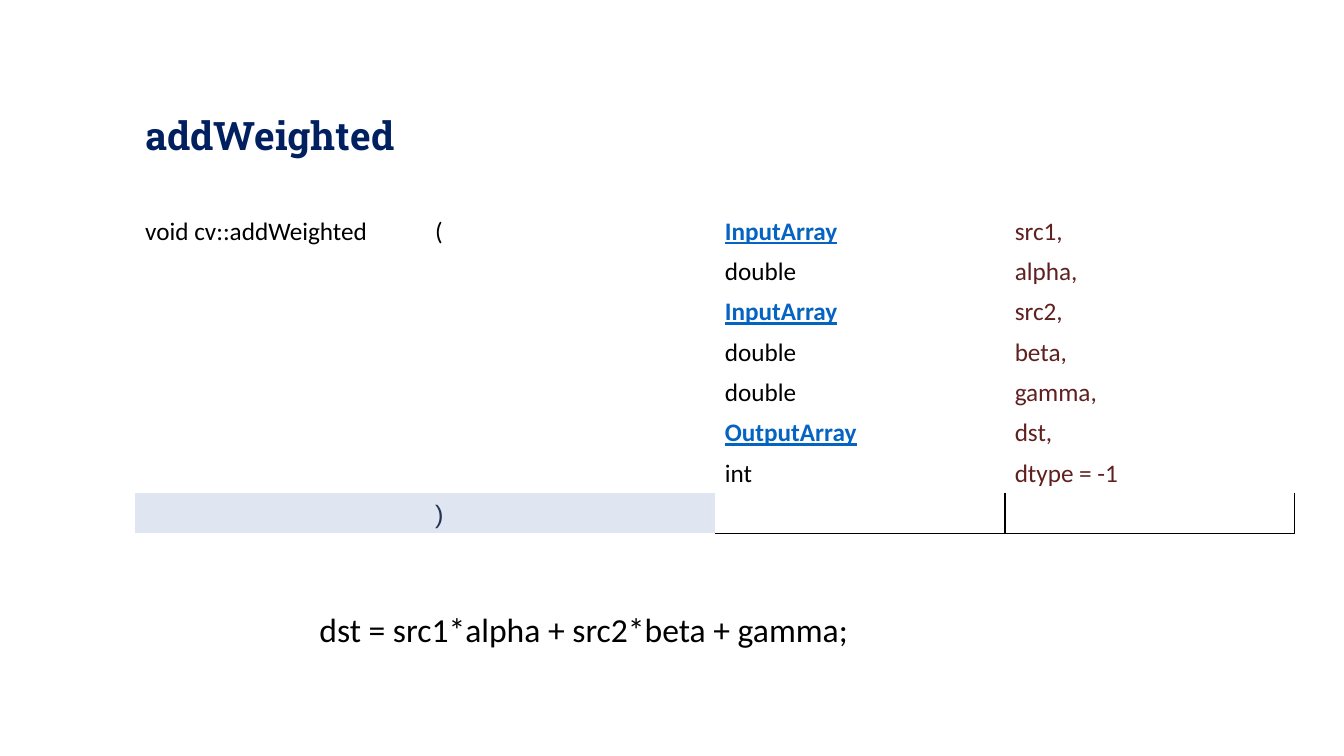
from lxml.etree import SubElement as Sub
from pptx import Presentation
from pptx.dml.color import RGBColor as RGB
from pptx.enum.text import MSO_ANCHOR as Anchor
from pptx.oxml.ns import qn
from pptx.util import Inches, Pt

NAVY, BLACK, LINK, MAROON = "002060", "000000", "0563C1", "602020"
BAND, SLATE = "DFE5F1", "253555"

# Type and name of each parameter
PARAMS = [
    ("InputArray", "src1,"),
    ("double", "alpha,"),
    ("InputArray", "src2,"),
    ("double", "beta,"),
    ("double", "gamma,"),
    ("OutputArray", "dst,"),
    ("int", "dtype = -1"),
]


def color(code):
    return RGB.from_string(code)


class Deck:
    def __init__(self):
        self.prs = Presentation()
        self.prs.slide_width = Inches(13.33)
        self.prs.slide_height = Inches(7.5)
        self.slide = self.prs.slides.add_slide(self.prs.slide_layouts[6])
        self.font = "Calibri"

    def run(self, para, words, size=18, code=BLACK, font=None, link=False, bold=False):
        run = para.add_run()
        run.text = words
        face = run.font
        face.name = font or self.font
        face.size = Pt(size)
        face.color.rgb = color(code)
        face.bold = bold or link
        face.underline = link

    def text(self, box, words, **style):
        frame = self.slide.shapes.add_textbox(*map(Inches, box)).text_frame
        frame.word_wrap = True
        self.run(frame.paragraphs[0], words, **style)

    def table(self, box, rows, cols):
        shape = self.slide.shapes.add_table(rows, cols, *map(Inches, box))
        table = shape.table
        table.first_row = table.horz_banding = False
        for cell in table.iter_cells():
            cell.vertical_anchor = Anchor.BOTTOM
            cell.margin_top = cell.margin_bottom = Inches(0.04)
        return table

    def label(self, cell, words, **style):
        self.run(cell.text_frame.paragraphs[0], words, **style)

    def finish(self, cell, fill=None, edges=None):
        """Draw the named edges, given as side: points, and clear the rest."""
        props = cell._tc.get_or_add_tcPr()
        for side in "LRTB":
            width = (edges or {}).get(side, 0)
            line = Sub(props, qn(f"a:ln{side}"), w=str(Pt(width)))
            if width:
                solid = Sub(line, qn("a:solidFill"))
                Sub(solid, qn("a:srgbClr"), val=BLACK)
            else:
                Sub(line, qn("a:noFill"))
        if fill:
            cell.fill.solid()
            cell.fill.fore_color.rgb = color(fill)
        else:
            cell.fill.background()


def main():
    deck = Deck()

    # Title
    deck.text((1.34, 1.06, 8.43, 0.57), "addWeighted",
              size=28, code=NAVY, font="Roboto Slab", bold=True)

    # Formula
    deck.text((3.07, 5.99, 7.47, 0.5), "dst = src1*alpha + src2*beta + gamma;", size=24)

    # Signature
    last = len(PARAMS)
    table = deck.table((1.34, 2.09, 11.5, 3.2), last + 1, 4)
    deck.label(table.cell(0, 0), "void cv::addWeighted")
    deck.label(table.cell(0, 1), "(")
    for row, (kind, name) in enumerate(PARAMS):
        link = kind.endswith("Array")
        deck.label(table.cell(row, 2), kind, code=LINK if link else BLACK, link=link)
        deck.label(table.cell(row, 3), name, code=MAROON)
    deck.label(table.cell(last, 1), ")", code=SLATE, font="Arial")

    # Fills and borders: only the last row has any
    fills = {(last, 0): BAND, (last, 1): BAND}
    edges = {(last, 2): {"R": 1.5, "B": 1}, (last, 3): {"L": 1.5, "R": 1, "B": 1}}
    for row in range(last + 1):
        for col in range(4):
            spot = row, col
            deck.finish(table.cell(*spot), fills.get(spot), edges.get(spot))

    deck.prs.save("out.pptx")


if __name__ == "__main__":
    main()
